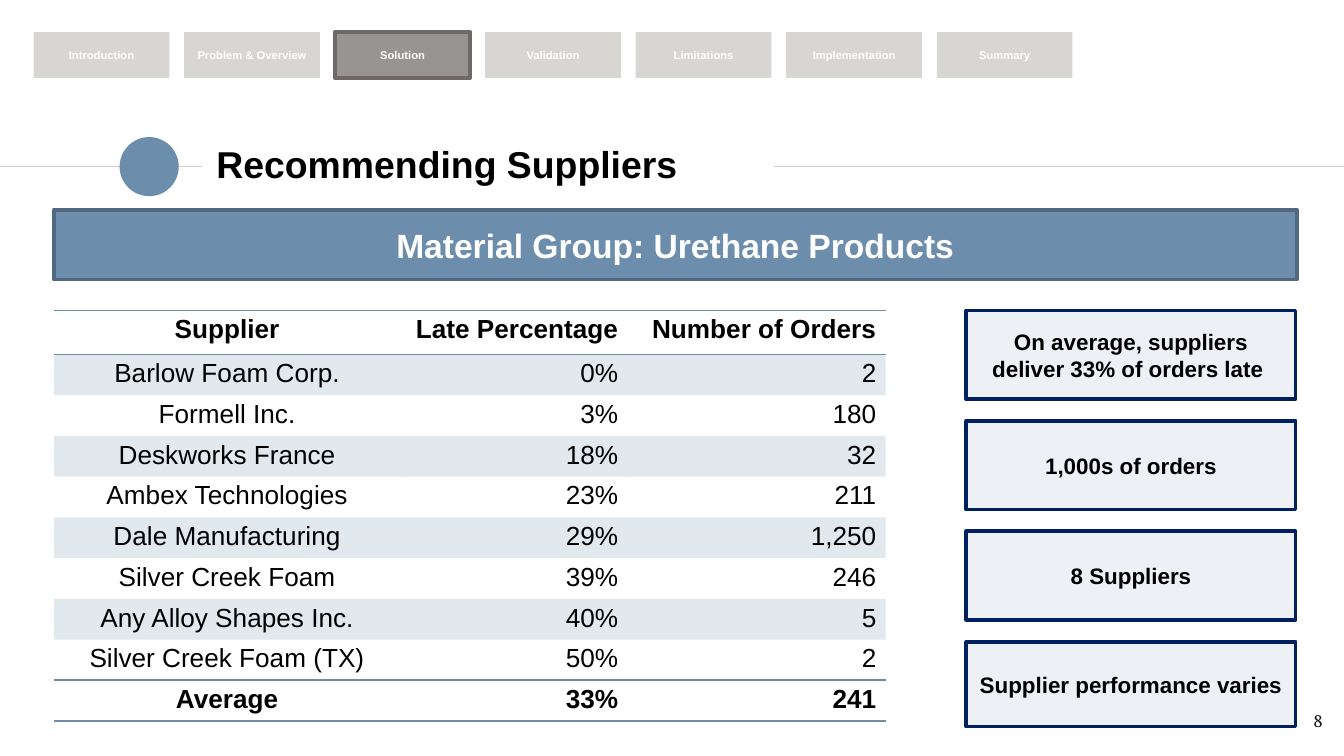
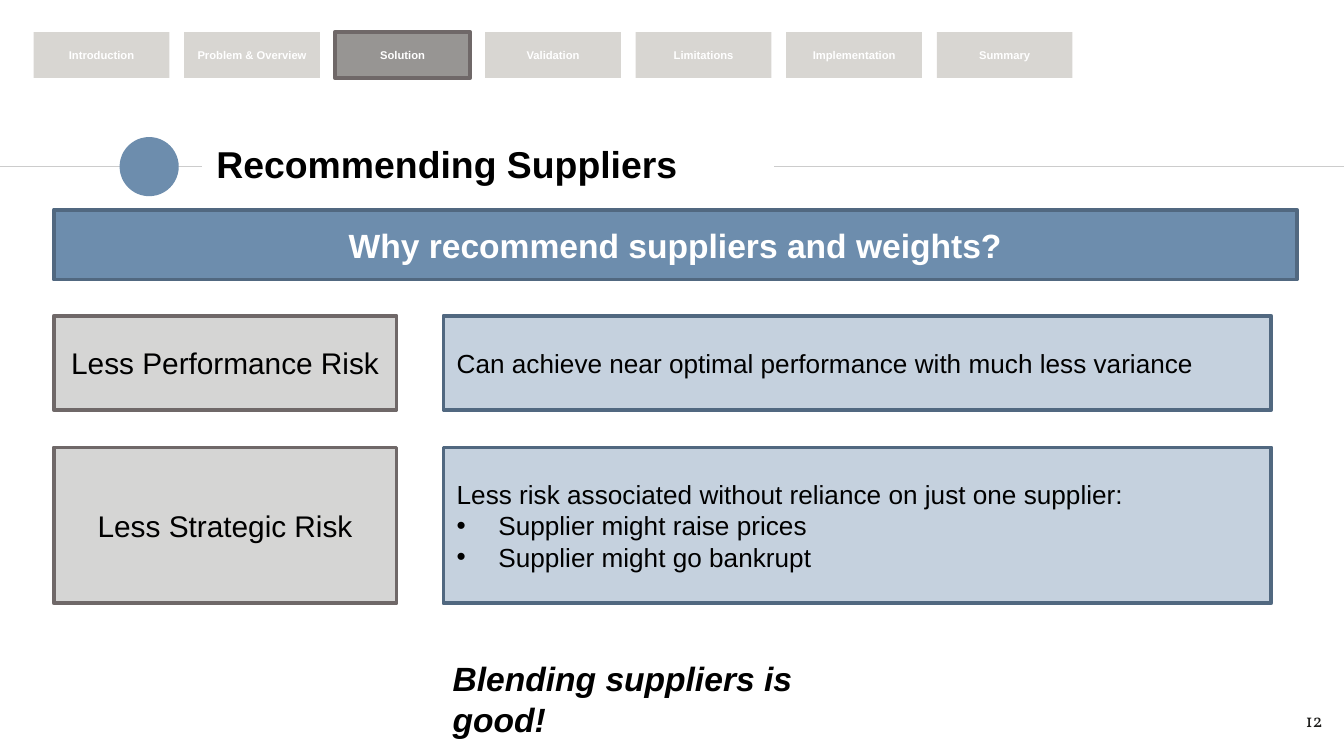
from dataclasses import dataclass
from typing import Any

from lxml.etree import SubElement
from pptx import Presentation
from pptx.dml.color import RGBColor
from pptx.enum.shapes import MSO_CONNECTOR, MSO_SHAPE
from pptx.enum.text import MSO_ANCHOR, PP_ALIGN
from pptx.oxml.ns import qn
from pptx.slide import Slide
from pptx.util import Emu, Inches, Pt

# The grid has square cells, a tenth of an inch each.
GRID_COLUMNS, GRID_ROWS = 100, 56.25
CELL = Inches(0.1)


@dataclass(frozen=True)
class Theme:
    font: str = "Arial"
    number_font: str = "Vollkorn"
    black: str = "000000"
    white: str = "FFFFFF"
    ink: str = "1D1D1B"
    rule: str = "CCCCCC"
    blue: str = "6D8DAD"
    blue_edge: str = "516880"
    blue_pale: str = "C5D1DE"
    note_fill: str = "A7BBCE"
    navy: str = "002060"
    tab: str = "D8D6D2"
    tab_active: str = "979593"
    gray_pale: str = "D5D5D4"
    gray_edge: str = "6F6868"
    tab_size: float = 6
    number_size: float = 10
    note_size: float = 12
    body_size: float = 14
    label_size: float = 16
    banner_size: float = 18
    title_size: float = 20
    tint: int = 20
    edge_width: float = 2


THEME = Theme()


@dataclass(frozen=True)
class Box:
    """A rectangle in grid columns and rows."""
    left: float
    top: float
    width: float
    height: float

    def emu(self) -> tuple[Emu, ...]:
        return tuple(grid(cells) for cells in
                     (self.left, self.top, self.width, self.height))


@dataclass(frozen=True)
class Style:
    size: float
    color: str = THEME.black
    bold: bool = False
    italic: bool = False
    align: PP_ALIGN = PP_ALIGN.CENTER
    font: str = THEME.font
    fill: str | None = None
    opacity: int = 100
    edge: str | None = None
    side_inset: float = 1
    end_inset: float = 0.5
    anchor: MSO_ANCHOR = MSO_ANCHOR.MIDDLE


@dataclass(frozen=True)
class Panel:
    box: Box
    style: Style
    text: str
    bullets: tuple[str, ...] = ()


TAB = Style(THEME.tab_size, THEME.white, True, fill=THEME.tab, side_inset=0.5)
ACTIVE_TAB = Style(THEME.tab_size, THEME.white, True, fill=THEME.tab_active,
                   edge=THEME.gray_edge, side_inset=0.5)
TITLE = Style(THEME.title_size, bold=True, align=PP_ALIGN.LEFT, end_inset=1)
BANNER = Style(THEME.banner_size, THEME.white, True, fill=THEME.blue,
               edge=THEME.blue_edge)
NOTE = Style(THEME.note_size, bold=True, fill=THEME.note_fill,
             opacity=THEME.tint, edge=THEME.navy, side_inset=0.8)
RISK = Style(THEME.label_size, fill=THEME.gray_pale, edge=THEME.gray_edge)
REASON = Style(THEME.body_size, align=PP_ALIGN.LEFT, fill=THEME.blue_pale,
               edge=THEME.blue_edge)
CONCLUSION = Style(THEME.banner_size, bold=True, italic=True,
                   align=PP_ALIGN.LEFT, anchor=MSO_ANCHOR.TOP)
PAGE_NUMBER = Style(THEME.number_size, THEME.ink, align=PP_ALIGN.RIGHT,
                    font=THEME.number_font, end_inset=1, anchor=MSO_ANCHOR.TOP)

SECTIONS = ("Introduction", "Problem & Overview", "Solution", "Validation",
            "Limitations", "Implementation", "Summary")
ACTIVE_SECTION = "Solution"
MARGIN = 4
CONTENT_TOP = 23.1

SUPPLIER_COLUMNS = (25.8, 16.9, 19.2)
HEADER_HEIGHT, SUPPLIER_HEIGHT = 3.27, 2.94
SUPPLIERS = (
    ("Supplier", "Late Percentage", "Number of Orders"),
    ("Barlow Foam Corp.", "0%", "2"),
    ("Formell Inc.", "3%", "180"),
    ("Deskworks France", "18%", "32"),
    ("Ambex Technologies", "23%", "211"),
    ("Dale Manufacturing", "29%", "1,250"),
    ("Silver Creek Foam", "39%", "246"),
    ("Any Alloy Shapes Inc.", "40%", "5"),
    ("Silver Creek Foam (TX)", "50%", "2"),
    ("Average", "33%", "241"),
)
NOTES = ("On average, suppliers deliver 33% of orders late ",
         "1,000s of orders", "8 Suppliers", "Supplier performance varies")
NOTE_STEP, NOTE_HEIGHT, LAST_NOTE_HEIGHT = 8.22, 6.6, 6.3


def grid(cells: float) -> Emu:
    return Emu(round(cells * CELL))


def rgb(color: str) -> RGBColor:
    return RGBColor.from_string(color)


def set_values(target: Any, values: dict[str, Any]) -> None:
    for name, value in values.items():
        setattr(target, name, value)


def set_fill(owner: Any, properties: Any, color: str | None,
             opacity: int = 100) -> None:
    """Fill a shape or cell whose XML fill sits in properties."""
    if color is None:
        owner.fill.background()
        return
    owner.fill.solid()
    owner.fill.fore_color.rgb = rgb(color)
    if opacity < 100:
        color_element = properties.find(qn("a:solidFill"))[0]
        SubElement(color_element, qn("a:alpha"), val=str(opacity * 1000))


def write_paragraph(paragraph: Any, text: str, style: Style) -> None:
    paragraph.alignment = style.align
    run = paragraph.add_run()
    run.text = text
    set_values(run.font, {"name": style.font, "size": Pt(style.size),
                          "bold": style.bold, "italic": style.italic})
    run.font.color.rgb = rgb(style.color)


def add_bullet(paragraph: Any) -> None:
    properties = paragraph._p.get_or_add_pPr()
    indent = Inches(0.31)
    properties.set("marL", str(indent))
    properties.set("indent", str(-indent))
    bullet_color = SubElement(properties, qn("a:buClr"))
    SubElement(bullet_color, qn("a:srgbClr"), val=THEME.black)
    SubElement(properties, qn("a:buFont"), typeface=THEME.font)
    SubElement(properties, qn("a:buChar"), char="•")


def write_panel(shape: Any, panel: Panel) -> None:
    style, frame = panel.style, shape.text_frame
    side, end = grid(style.side_inset), grid(style.end_inset)
    set_values(frame, {"word_wrap": True, "vertical_anchor": style.anchor,
                       "margin_left": side, "margin_right": side,
                       "margin_top": end, "margin_bottom": end})
    write_paragraph(frame.paragraphs[0], panel.text, style)
    for bullet in panel.bullets:
        paragraph = frame.add_paragraph()
        write_paragraph(paragraph, bullet, style)
        add_bullet(paragraph)


def add_panel(slide: Slide, panel: Panel) -> None:
    """Draw a filled rectangle, or a text box when the style has no fill."""
    style = panel.style
    if style.fill is None:
        shape = slide.shapes.add_textbox(*panel.box.emu())
    else:
        shape = slide.shapes.add_shape(MSO_SHAPE.RECTANGLE, *panel.box.emu())
        shape.shadow.inherit = False
        set_fill(shape, shape._element.spPr, style.fill, style.opacity)
        if style.edge is None:
            shape.line.fill.background()
        else:
            shape.line.color.rgb = rgb(style.edge)
            shape.line.width = Pt(THEME.edge_width)
    write_panel(shape, panel)


def add_title_rule(slide: Slide, start: float, end: float) -> None:
    height = grid(12.4)
    connector = slide.shapes.add_connector(
        MSO_CONNECTOR.STRAIGHT, grid(start), height, grid(end), height)
    connector.line.color.rgb = rgb(THEME.rule)
    connector.line.width = Pt(0.75)
    SubElement(connector._element.spPr, qn("a:effectLst"))


def add_slide(presentation: Any, heading: str, number: int) -> Slide:
    """Add a slide with the shared title, banner, tabs and page number."""
    slide = presentation.slides.add_slide(presentation.slide_layouts[5])
    add_title_rule(slide, 0, 15)
    add_title_rule(slide, 57.6, GRID_COLUMNS)
    circle = slide.shapes.add_shape(MSO_SHAPE.OVAL,
                                    *Box(8.9, 10.2, 4.4, 4.4).emu())
    circle.shadow.inherit = False
    set_fill(circle, circle._element.spPr, THEME.blue)
    circle.line.fill.background()

    title = Panel(Box(15.1, 9.8, 42.4, 4.8), TITLE, "Recommending Suppliers")
    names = ("left", "top", "width", "height")
    set_values(slide.shapes.title, dict(zip(names, title.box.emu())))
    write_panel(slide.shapes.title, title)

    add_panel(slide, Panel(Box(MARGIN, 15.6, 92.5, 5.2), BANNER, heading))
    for index, section in enumerate(SECTIONS):
        style = ACTIVE_TAB if section == ACTIVE_SECTION else TAB
        add_panel(slide, Panel(Box(2.5 + 11.2 * index, 2.4, 10.1, 3.4),
                               style, section))
    add_panel(slide, Panel(Box(93.4, 51.9, 6, 4.3), PAGE_NUMBER, str(number)))
    return slide


def add_cell_border(properties: Any, side: str) -> None:
    line = SubElement(properties, qn(f"a:{side}"), w=str(Pt(1)))
    fill = SubElement(line, qn("a:solidFill"))
    SubElement(fill, qn("a:srgbClr"), val=THEME.blue)


def add_supplier_table(slide: Slide) -> None:
    last = len(SUPPLIERS) - 1
    box = Box(MARGIN, CONTENT_TOP, sum(SUPPLIER_COLUMNS),
              HEADER_HEIGHT + last * SUPPLIER_HEIGHT)
    frame = slide.shapes.add_table(len(SUPPLIERS), len(SUPPLIER_COLUMNS),
                                   *box.emu())
    table = frame.table
    set_values(table, {"first_row": False, "horz_banding": False})
    no_grid = "{2D5ABB26-0587-4C30-8999-92F81FD0307C}"
    next(frame._element.iter(qn("a:tableStyleId"))).text = no_grid
    for column, width in zip(table.columns, SUPPLIER_COLUMNS):
        column.width = grid(width)
    for row_index, values in enumerate(SUPPLIERS):
        framed = row_index in (0, last)
        banded = not framed and row_index % 2 == 1
        table.rows[row_index].height = grid(
            SUPPLIER_HEIGHT if row_index else HEADER_HEIGHT)
        for column_index, value in enumerate(values):
            cell = table.cell(row_index, column_index)
            set_values(cell, {"margin_left": Pt(5), "margin_right": Pt(5),
                              "margin_top": Pt(2.5), "margin_bottom": Pt(2.5)})
            align = PP_ALIGN.RIGHT if column_index else PP_ALIGN.CENTER
            style = Style(THEME.body_size, bold=framed, align=align)
            write_paragraph(cell.text_frame.paragraphs[0], value, style)
            properties = cell._tc.get_or_add_tcPr()
            if framed:
                for side in ("lnT", "lnB"):
                    add_cell_border(properties, side)
            set_fill(cell, properties, THEME.blue if banded else None,
                     THEME.tint)


def build_supplier_slide(presentation: Any) -> None:
    slide = add_slide(presentation, "Material Group: Urethane Products", 8)
    add_supplier_table(slide)
    for index, note in enumerate(NOTES):
        height = LAST_NOTE_HEIGHT if note == NOTES[-1] else NOTE_HEIGHT
        box = Box(71.9, CONTENT_TOP + NOTE_STEP * index, 24.5, height)
        add_panel(slide, Panel(box, NOTE, note))


def build_reason_slide(presentation: Any) -> None:
    slide = add_slide(presentation, "Why recommend suppliers and weights?", 12)
    reasons = (
        (23.5, 7, "Less Performance Risk",
         "Can achieve near optimal performance with much less variance", ()),
        (33.3, 11.6, "Less Strategic Risk",
         "Less risk associated without reliance on just one supplier:",
         ("Supplier might raise prices", "Supplier might go bankrupt")),
    )
    for top, height, risk, reason, bullets in reasons:
        add_panel(slide, Panel(Box(MARGIN, top, 25.5, height), RISK, risk))
        add_panel(slide, Panel(Box(33, top, 61.6, height), REASON, reason,
                               bullets))
    add_panel(slide, Panel(Box(32.7, 48.5, 34.6, 4), CONCLUSION,
                           "Blending suppliers is good!"))


def main() -> None:
    presentation = Presentation()
    set_values(presentation, {"slide_width": grid(GRID_COLUMNS),
                              "slide_height": grid(GRID_ROWS)})
    build_supplier_slide(presentation)
    build_reason_slide(presentation)
    presentation.save("out.pptx")


if __name__ == "__main__":
    main()
